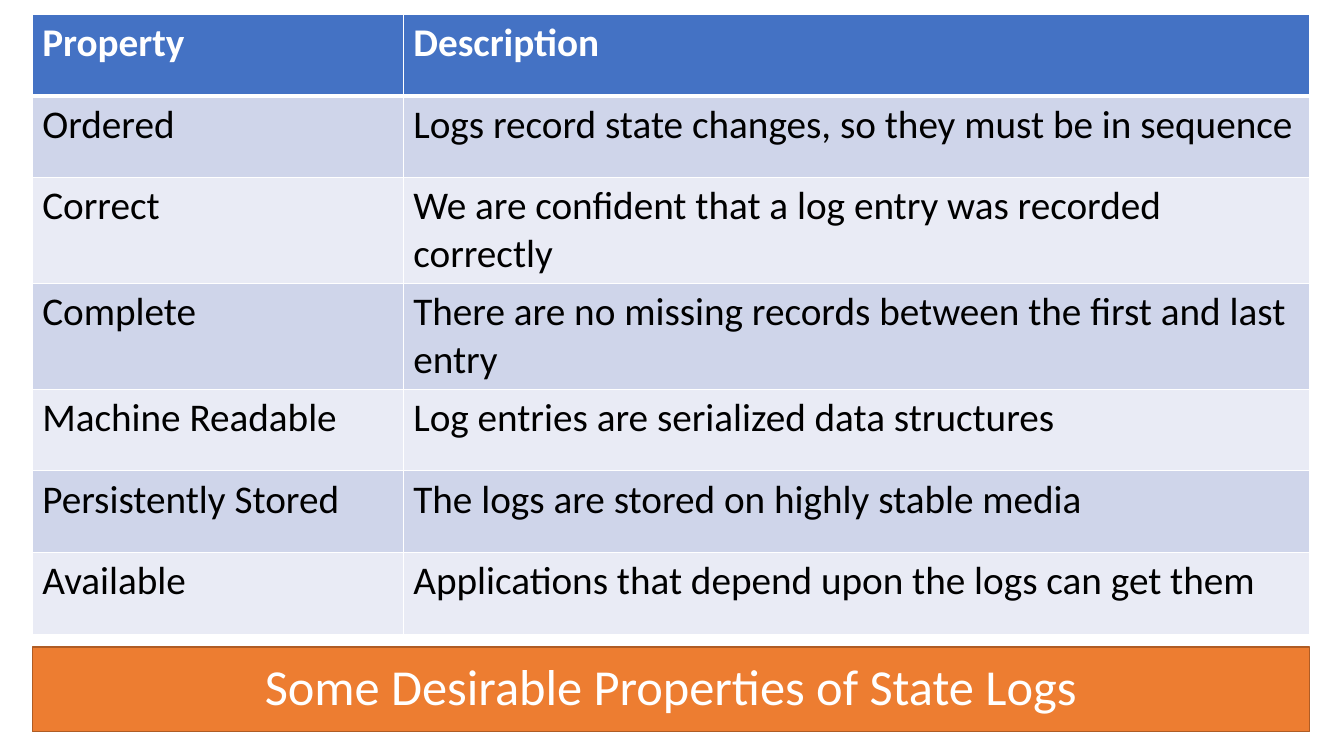
"""Build a slide with a table of desirable state log properties above a title bar."""
from lxml import etree
from pptx import Presentation
from pptx.dml.color import RGBColor
from pptx.enum import text
from pptx.oxml.ns import qn
from pptx.util import Inches, Pt

TITLE = "Some Desirable Properties of State Logs"
ROWS = [
    ("Property", "Description"),
    ("Ordered", "Logs record state changes, so they must be in sequence"),
    ("Correct", "We are confident that a log entry was recorded correctly"),
    ("Complete", "There are no missing records between the first and last entry"),
    ("Machine Readable", "Log entries are serialized data structures"),
    ("Persistently Stored", "The logs are stored on highly stable media"),
    ("Available", "Applications that depend upon the logs can get them"),
]
COLORS = {
    "white": "FFFFFF", "black": "000000", "header": "4472C4",
    "odd": "CFD5EA", "even": "E9EBF5", "bar": "ED7D31", "bar_line": "AF5C24",
}
FONT = "Calibri"
LEFT, TABLE_TOP, TITLE_TOP, TITLE_HEIGHT = 0.32, 0.14, 6.42, 0.84
COL_WIDTHS = (3.68, 8.99)
ROW_HEIGHTS = (0.81, 0.81, 0.94, 0.81, 0.81, 0.81, 0.81)
WIDTH = sum(COL_WIDTHS)


def rgb(name):
    return RGBColor.from_string(COLORS[name])


def write(tf, content, size=28, color="black", bold=False, align=None, spacing=None):
    p = tf.paragraphs[0]
    p.alignment = align
    p.line_spacing = spacing
    r = p.add_run()
    r.text = content
    r.font.name = FONT
    r.font.size = Pt(size)
    r.font.bold = bold
    r.font.color.rgb = rgb(color)


def add_borders(cell, top=1, bottom=1):
    tc_pr = cell._tc.get_or_add_tcPr()
    for side, width in (("L", 1), ("R", 1), ("T", top), ("B", bottom)):
        ln = etree.SubElement(tc_pr, qn(f"a:ln{side}"), w=str(Pt(width)))
        fill = etree.SubElement(ln, qn("a:solidFill"))
        etree.SubElement(fill, qn("a:srgbClr"), val=COLORS["white"])


def add_title(s):
    sp = s.shapes.title
    sp.left, sp.top = Inches(LEFT), Inches(TITLE_TOP)
    sp.width, sp.height = Inches(WIDTH), Inches(TITLE_HEIGHT)
    sp.fill.solid()
    sp.fill.fore_color.rgb = rgb("bar")
    sp.line.color.rgb = rgb("bar_line")
    sp.line.width = Pt(1)
    tf = sp.text_frame
    tf.auto_size = text.MSO_AUTO_SIZE.NONE
    tf.vertical_anchor = text.MSO_ANCHOR.MIDDLE
    write(tf, TITLE, size=36, color="white", align=text.PP_ALIGN.CENTER, spacing=0.9)


def add_properties(s):
    frame = s.shapes.add_table(
        len(ROWS), len(COL_WIDTHS), Inches(LEFT), Inches(TABLE_TOP),
        Inches(WIDTH), Inches(sum(ROW_HEIGHTS)))
    table = frame.table
    for column, width in zip(table.columns, COL_WIDTHS):
        column.width = Inches(width)
    for i, (row, height, values) in enumerate(zip(table.rows, ROW_HEIGHTS, ROWS)):
        row.height = Inches(height)
        header = i == 0
        band = "header" if header else "odd" if i % 2 else "even"
        for cell, value in zip(row.cells, values):
            add_borders(cell, top=3 if i == 1 else 1, bottom=3 if header else 1)
            cell.fill.solid()
            cell.fill.fore_color.rgb = rgb(band)
            write(cell.text_frame, value, color="white" if header else "black", bold=header)


def main():
    prs = Presentation()
    prs.slide_width, prs.slide_height = Inches(13.33), Inches(7.5)
    s = prs.slides.add_slide(prs.slide_layouts[5])
    add_title(s)
    add_properties(s)
    prs.save("out.pptx")


if __name__ == "__main__":
    main()
